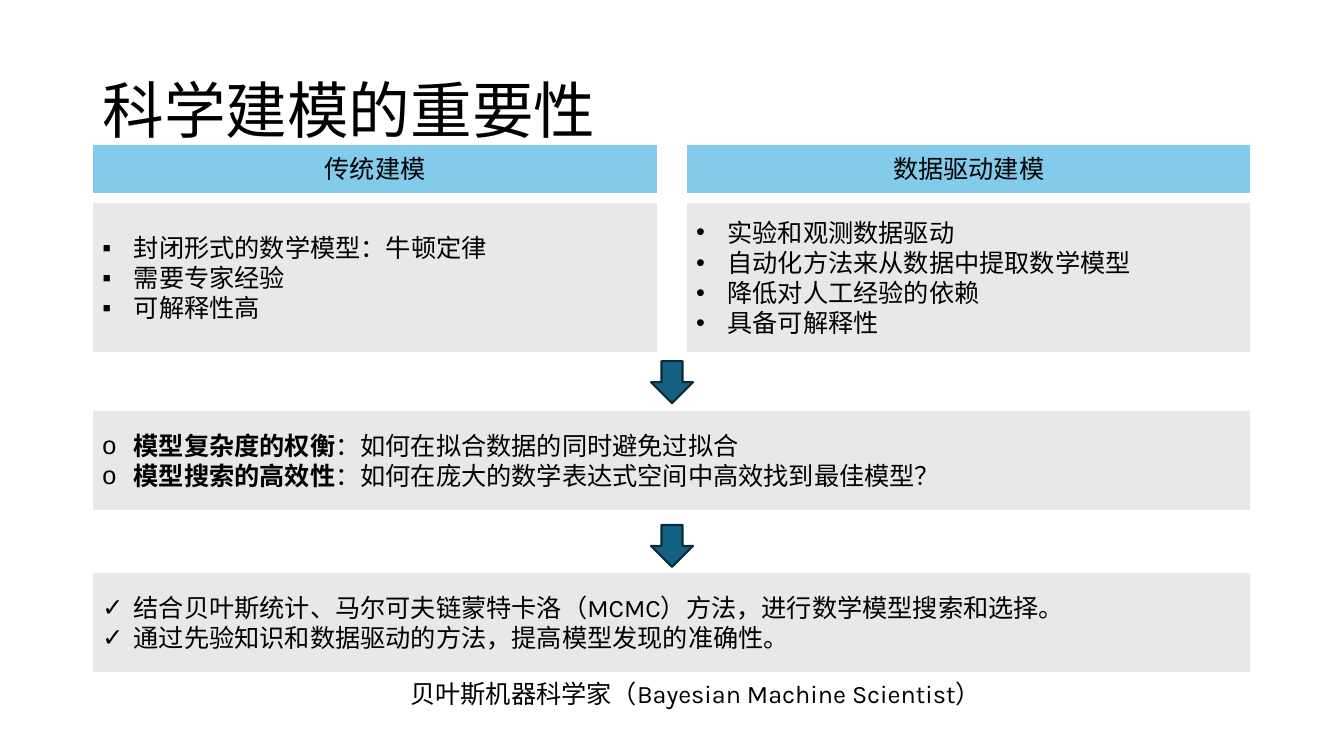
from dataclasses import dataclass

from lxml.etree import SubElement
from pptx import Presentation
from pptx.dml.color import RGBColor
from pptx.enum.shapes import MSO_SHAPE
from pptx.enum.text import MSO_ANCHOR, MSO_AUTO_SIZE, PP_ALIGN
from pptx.oxml.ns import qn
from pptx.util import Pt


@dataclass(frozen=True)
class Theme:
    font: str = "Karla"
    bullet_font: str = "Arial"
    title_size: float = 44
    text_size: float = 18
    line_width: float = 1.5
    indent: float = 22.5
    ink: str = "000000"
    header: str = "83CBEB"
    panel: str = "E8E8E8"
    border: str = "FFFFFF"
    arrow: str = "156082"
    arrow_border: str = "092A39"


class SlideBuilder:
    def __init__(self, page, theme):
        self.page = page
        self.theme = theme

    def place(self, shape, left, top, width, height):
        shape.left, shape.top = Pt(left), Pt(top)
        shape.width, shape.height = Pt(width), Pt(height)
        return shape

    def paint(self, shape, fill, line):
        shape.fill.solid()
        shape.fill.fore_color.rgb = RGBColor.from_string(fill)
        shape.line.color.rgb = RGBColor.from_string(line)
        shape.line.width = Pt(self.theme.line_width)

    def add_text(self, shape, lines, size, align=PP_ALIGN.LEFT, bullet=None, spacing=1.0):
        frame = shape.text_frame
        frame.word_wrap = True
        frame.auto_size = MSO_AUTO_SIZE.NONE
        frame.vertical_anchor = MSO_ANCHOR.MIDDLE
        for number, spans in enumerate(lines):
            para = frame.add_paragraph() if number else frame.paragraphs[0]
            para.alignment = align
            para.line_spacing = spacing
            para.space_before = para.space_after = Pt(0)
            self.mark(para, bullet)
            for text, bold in spans:
                span = para.add_run()
                span.text = text
                span.font.name = self.theme.font
                span.font.size = Pt(size)
                span.font.bold = bold
                span.font.color.rgb = RGBColor.from_string(self.theme.ink)

    def mark(self, para, bullet):
        properties = para._p.get_or_add_pPr()
        indent = Pt(self.theme.indent) if bullet else 0
        properties.set("marL", str(indent))
        properties.set("indent", str(-indent))
        if bullet:
            SubElement(properties, qn("a:buFont"), typeface=self.theme.bullet_font)
            SubElement(properties, qn("a:buChar"), char=bullet)
        else:
            SubElement(properties, qn("a:buNone"))

    def title(self, text, *bounds):
        box = self.place(self.page.shapes.title, *bounds)
        self.add_text(box, [[(text, False)]], self.theme.title_size, spacing=0.9)

    def heading(self, index, text, *bounds):
        box = self.place(self.page.placeholders[index], *bounds)
        self.paint(box, self.theme.header, self.theme.border)
        self.add_text(box, [[(text, False)]], self.theme.text_size, PP_ALIGN.CENTER)

    def column(self, index, items, bullet, *bounds):
        box = self.place(self.page.placeholders[index], *bounds)
        self.paint(box, self.theme.panel, self.theme.border)
        lines = [[(item, False)] for item in items]
        self.add_text(box, lines, self.theme.text_size, bullet=bullet)

    def shape(self, kind, fill, line, *bounds):
        box = self.page.shapes.add_shape(kind, *map(Pt, bounds))
        box.shadow.inherit = False
        self.paint(box, fill, line)
        return box

    def panel(self, lines, bullet, *bounds):
        box = self.shape(MSO_SHAPE.RECTANGLE, self.theme.panel, self.theme.border, *bounds)
        self.add_text(box, lines, self.theme.text_size, bullet=bullet)

    def arrow(self, left, top, size):
        arrow = self.shape(MSO_SHAPE.RIGHT_ARROW, self.theme.arrow,
                           self.theme.arrow_border, left, top, size, size)
        arrow.rotation = 90

    def caption(self, text, *bounds):
        box = self.page.shapes.add_textbox(*map(Pt, bounds))
        self.add_text(box, [[(text, False)]], self.theme.text_size)


LEFT, WIDTH, GAP = 66, 828, 20
COLUMN = (WIDTH - GAP) / 2
COLUMNS = [
    ("传统建模", "▪", ["封闭形式的数学模型：牛顿定律", "需要专家经验", "可解释性高"]),
    ("数据驱动建模", "•", ["实验和观测数据驱动", "自动化方法来从数据中提取数学模型",
                     "降低对人工经验的依赖", "具备可解释性"]),
]
CHALLENGES = [
    [("模型复杂度的权衡", True), ("：如何在拟合数据的同时避免过拟合", False)],
    [("模型搜索的高效性", True), ("：如何在庞大的数学表达式空间中高效找到最佳模型？", False)],
]
SOLUTIONS = [
    [("结合贝叶斯统计、马尔可夫链蒙特卡洛（MCMC）方法，进行数学模型搜索和选择。", False)],
    [("通过先验知识和数据驱动的方法，提高模型发现的准确性。", False)],
]


def main():
    deck = Presentation()
    deck.slide_width, deck.slide_height = Pt(960), Pt(540)
    comparison = deck.slide_layouts.get_by_name("Comparison")
    page = deck.slides.add_slide(comparison)
    builder = SlideBuilder(page, Theme())

    builder.title("科学建模的重要性", LEFT, 28.75, WIDTH, 104.4)
    for number, (heading, bullet, items) in enumerate(COLUMNS):
        left = LEFT + number * (COLUMN + GAP)
        builder.heading(1 + 2 * number, heading, left, 102.5, COLUMN, 36)
        builder.column(2 + 2 * number, items, bullet, left, 144, COLUMN, 108.5)

    builder.panel(CHALLENGES, "o", LEFT, 293, WIDTH, 72)
    builder.panel(SOLUTIONS, "✓", LEFT, 408.75, WIDTH, 72)
    for top in (258, 375):
        builder.arrow(465, top, 30)
    builder.caption("贝叶斯机器科学家（Bayesian Machine Scientist）", 286, 480.5, 480, 29)

    deck.save("out.pptx")


if __name__ == "__main__":
    main()
